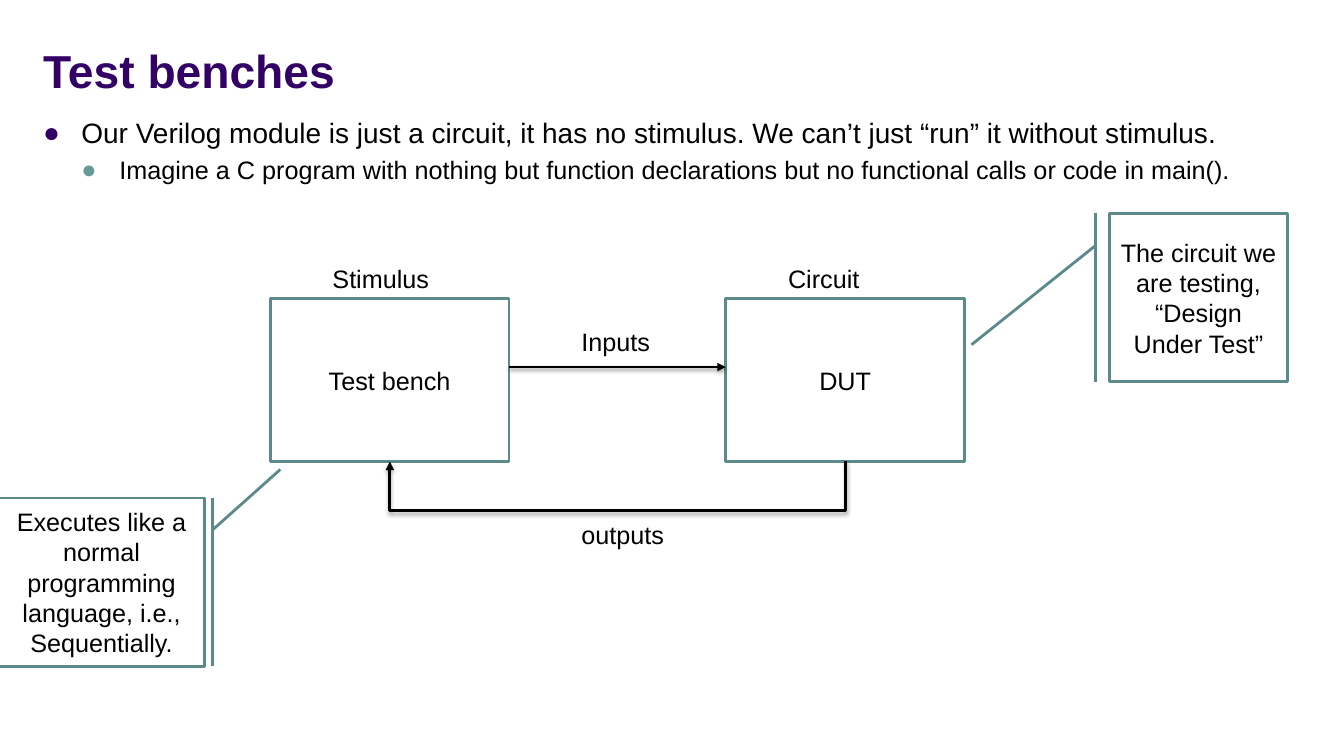
"""Build the slide on Verilog test benches."""
from dataclasses import dataclass

from lxml.etree import SubElement
from pptx import Presentation
from pptx.dml.color import RGBColor
from pptx.enum.shapes import MSO_CONNECTOR as Route, MSO_SHAPE as Preset
from pptx.enum.text import MSO_ANCHOR as Anchor, PP_ALIGN as Align
from pptx.oxml.ns import qn
from pptx.shapes.autoshape import Shape
from pptx.shapes.connector import Connector
from pptx.shapes.shapetree import SlideShapes
from pptx.util import Cm, Pt

FONT = "Arial"
BLACK, WHITE, PURPLE = "000000", "FFFFFF", "330066"
TEAL, BULLET_TEAL = "5C8A8A", "669999"
INDENT = 0.96
BLOCK_TOP, BLOCK_WIDTH, BLOCK_HEIGHT = 7.52, 6.02, 4.11
BENCH_LEFT, DUT_LEFT = 6.81, 18.29
INPUTS_Y = 9.25
OUTPUTS_DROP = 1.25
SLIVER = 0.01


@dataclass
class Area:
    left: float
    top: float
    width: float
    height: float

    def lengths(self) -> tuple[Cm, Cm, Cm, Cm]:
        return Cm(self.left), Cm(self.top), Cm(self.width), Cm(self.height)


@dataclass
class Label:
    text: str
    area: Area


@dataclass
class Callout:
    text: str
    area: Area
    pointer: tuple[float, float, float, float]


@dataclass
class Bullet:
    text: str
    level: int
    size: float
    color: str
    before: float


LABELS = [
    Label("Stimulus", Area(8.13, 6.5, 3.35, 1.02)),
    Label("Circuit", Area(19.61, 6.5, 3.35, 1.02)),
    Label("Inputs", Area(14.4, 8.1, 4.17, 1.02)),
    Label("outputs", Area(14.4, 12.95, 4.17, 1.02)),
]
CALLOUTS = [
    Callout("The circuit we are testing, “Design Under Test”",
            Area(27.97, 5.38, 4.47, 4.24), (0.19, -0.08, 0.78, -0.78)),
    Callout("Executes like a normal programming language, i.e., Sequentially.",
            Area(-0.03, 12.55, 5.18, 4.24), (0.19, 1.04, -0.17, 1.37)),
]
BULLETS = [
    Bullet("Our Verilog module is just a circuit, it has no stimulus. "
           "We can’t just “run” it without stimulus.", 0, 20, PURPLE, 0),
    Bullet("Imagine a C program with nothing but function declarations "
           "but no functional calls or code in main().", 1, 18, BULLET_TEAL, 3.6),
]


def rgb(color: str) -> RGBColor:
    return RGBColor.from_string(color)


def write(para, text: str, *, size: float = 18, color: str = BLACK,
          bold: bool = False, align: Align = Align.LEFT) -> None:
    para.alignment = align
    span = para.add_run()
    span.text = text
    span.font.name = FONT
    span.font.size = Pt(size)
    span.font.bold = bold
    span.font.color.rgb = rgb(color)


def add_text_box(shapes: SlideShapes, area: Area, anchor: Anchor = Anchor.TOP) -> Shape:
    box = shapes.add_textbox(*area.lengths())
    box.text_frame.word_wrap = True
    box.text_frame.vertical_anchor = anchor
    return box


def add_outlined(shapes: SlideShapes, preset: Preset, text: str, area: Area) -> Shape:
    box = shapes.add_shape(preset, *area.lengths())
    box.shadow.inherit = False
    box.fill.solid()
    box.fill.fore_color.rgb = rgb(WHITE)
    box.line.color.rgb = rgb(TEAL)
    box.line.width = Pt(2)
    box.text_frame.word_wrap = True
    box.text_frame.vertical_anchor = Anchor.MIDDLE
    write(box.text_frame.paragraphs[0], text, align=Align.CENTER)
    return box


def add_bullet(para, bullet: Bullet) -> None:
    write(para, bullet.text, size=bullet.size)
    para.level = bullet.level
    para.space_before = Pt(bullet.before)
    props = para._p.get_or_add_pPr()
    props.set("marL", str(Cm(INDENT * (bullet.level + 1))))
    props.set("indent", str(Cm(-INDENT)))
    tint = SubElement(props, qn("a:buClr"))
    SubElement(tint, qn("a:srgbClr"), val=bullet.color)
    SubElement(props, qn("a:buFont"), typeface=FONT)
    SubElement(props, qn("a:buChar"), char="●")


def style_arrow(arrow: Connector) -> None:
    arrow.line.color.rgb = rgb(BLACK)
    arrow.line.width = Pt(2)
    SubElement(arrow.line._get_or_add_ln(), qn("a:tailEnd"), type="triangle")
    effects = SubElement(arrow._element.spPr, qn("a:effectLst"))
    shadow = SubElement(effects, qn("a:outerShdw"), blurRad=str(Pt(3.1)),
                        dist=str(Pt(1.6)), dir=str(90 * 60000), rotWithShape="0")
    tint = SubElement(shadow, qn("a:srgbClr"), val=BLACK)
    SubElement(tint, qn("a:alpha"), val="38000")


def add_outputs_arrow(shapes: SlideShapes, dut: Shape, bench: Shape) -> None:
    span = DUT_LEFT - BENCH_LEFT
    middle = (DUT_LEFT + BENCH_LEFT + BLOCK_WIDTH) / 2
    bottom = BLOCK_TOP + BLOCK_HEIGHT
    arrow = shapes.add_connector(Route.ELBOW, 0, 0, 0, 0)
    arrow.begin_connect(dut, 2)
    arrow.end_connect(bench, 2)
    area = Area(middle, bottom - span / 2, SLIVER, span)
    arrow.left, arrow.top, arrow.width, arrow.height = area.lengths()
    frame = arrow._element.spPr.find(qn("a:xfrm"))
    for flip in ("flipH", "flipV"):
        frame.attrib.pop(flip, None)
    frame.set("rot", str(90 * 60000))
    geometry = arrow._element.spPr.find(qn("a:prstGeom"))
    guides = geometry.find(qn("a:avLst"))
    if guides is None:
        guides = SubElement(geometry, qn("a:avLst"))
    bend = round(OUTPUTS_DROP / SLIVER * 100000)
    SubElement(guides, qn("a:gd"), name="adj1", fmla=f"val {bend}")
    style_arrow(arrow)


def main() -> None:
    deck = Presentation()
    deck.slide_width, deck.slide_height = Cm(33.87), Cm(19.05)
    page = deck.slides.add_slide(deck.slide_layouts[6])
    shapes = page.shapes

    title = add_text_box(shapes, Area(0.84, 0.18, 32.18, 2.41), Anchor.BOTTOM)
    write(title.text_frame.paragraphs[0], "Test benches", size=33, color=PURPLE, bold=True)

    body = add_text_box(shapes, Area(0.84, 2.79, 32.18, 14.56)).text_frame
    for index, bullet in enumerate(BULLETS):
        add_bullet(body.add_paragraph() if index else body.paragraphs[0], bullet)

    dut, bench = (
        add_outlined(shapes, Preset.RECTANGLE, text,
                     Area(left, BLOCK_TOP, BLOCK_WIDTH, BLOCK_HEIGHT))
        for text, left in (("DUT", DUT_LEFT), ("Test bench", BENCH_LEFT)))

    inputs = shapes.add_connector(Route.STRAIGHT, Cm(BENCH_LEFT + BLOCK_WIDTH),
                                  Cm(INPUTS_Y), Cm(DUT_LEFT), Cm(INPUTS_Y))
    style_arrow(inputs)
    add_outputs_arrow(shapes, dut, bench)

    for label in LABELS:
        write(add_text_box(shapes, label.area).text_frame.paragraphs[0], label.text)

    for callout in CALLOUTS:
        box = add_outlined(shapes, Preset.LINE_CALLOUT_1_BORDER_AND_ACCENT_BAR,
                           callout.text, callout.area)
        for index, value in enumerate(callout.pointer):
            box.adjustments[index] = value

    deck.save("out.pptx")


if __name__ == "__main__":
    main()
